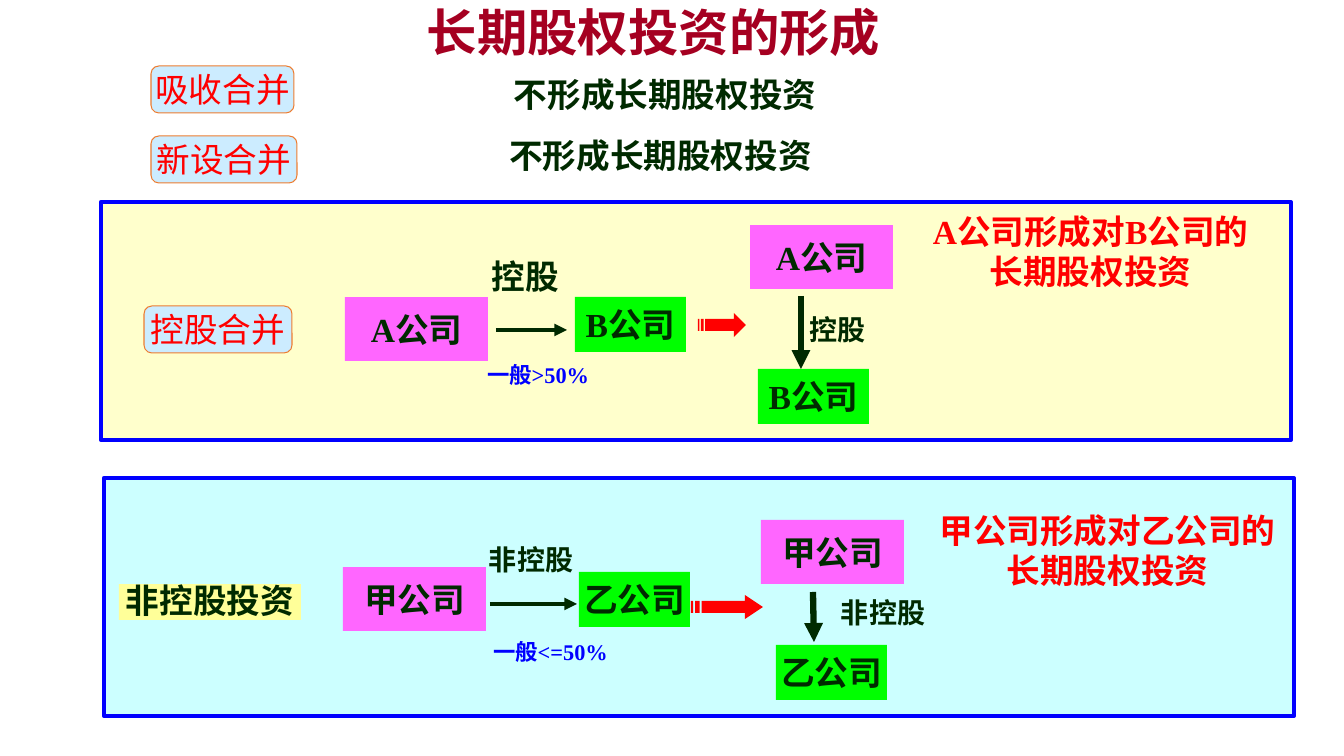
from pptx import Presentation
from pptx import util as u
from pptx.dml.color import RGBColor
from pptx.enum import shapes, text
from pptx.oxml.ns import qn
from lxml import etree

MAROON = RGBColor(0xA5, 0x00, 0x21)
DARK = RGBColor(0x00, 0x2A, 0x00)
RED = RGBColor(0xFF, 0x00, 0x00)
BLUE = RGBColor(0x00, 0x00, 0xFF)
ORANGE = RGBColor(0xED, 0x7D, 0x31)
SKY = RGBColor(0xCC, 0xEC, 0xFF)
CREAM = RGBColor(0xFF, 0xFF, 0xCC)
AQUA = RGBColor(0xCC, 0xFF, 0xFF)
PINK = RGBColor(0xFF, 0x66, 0xFF)
GREEN = RGBColor(0x00, 0xFF, 0x00)
YELLOW = RGBColor(0xFF, 0xFF, 0x99)

SANS, SERIF = "Noto Sans CJK SC", "Times New Roman"
RECT = shapes.MSO_SHAPE.RECTANGLE
ROUND = shapes.MSO_SHAPE.ROUNDED_RECTANGLE
LEFT, CENTER = text.PP_ALIGN.LEFT, text.PP_ALIGN.CENTER
TOP, MIDDLE = text.MSO_ANCHOR.TOP, text.MSO_ANCHOR.MIDDLE


def px(n):
    return round(n * 914400 / 100.8)


class Board:
    base = {"size": 24, "name": SERIF, "bold": True, "color": DARK}

    def __init__(self, prs):
        self.slide = prs.slides.add_slide(prs.slide_layouts[5])
        self.shapes = self.slide.shapes

    def put_text(self, sp, words, align=CENTER, anchor=MIDDLE, wrap=True, spacing=None, **style):
        style = {**self.base, **style}
        tf = sp.text_frame
        frame = {"word_wrap": wrap, "vertical_anchor": anchor,
                 "auto_size": text.MSO_AUTO_SIZE.NONE}
        frame.update({f"margin_{side}": 0 for side in ("left", "right", "top", "bottom")})
        for key, value in frame.items():
            setattr(tf, key, value)
        for i, line in enumerate(words.split("\n")):
            p = tf.paragraphs[0] if i == 0 else tf.add_paragraph()
            p.alignment = align
            if spacing:
                p.line_spacing = spacing
            r = p.add_run()
            r.text = line
            font = {"size": u.Pt(style["size"]), "name": style["name"], "bold": style["bold"]}
            for key, value in font.items():
                setattr(r.font, key, value)
            r.font.color.rgb = style["color"]
            etree.SubElement(r.font._element, qn("a:ea"), typeface=SANS)

    def title(self, words, x, y, w, h, **style):
        sp = self.shapes.title
        for key, value in zip(("left", "top", "width", "height"), (x, y, w, h)):
            setattr(sp, key, px(value))
        self.put_text(sp, words, **style)

    def label(self, words, x, y, w, h, align=LEFT, **style):
        sp = self.shapes.add_textbox(*map(px, (x, y, w, h)))
        self.put_text(sp, words, align, TOP, **style)

    def paint(self, sp, fill, line=None, weight=1):
        sp.shadow.inherit = False
        sp.fill.solid()
        sp.fill.fore_color.rgb = fill
        if line is None:
            sp.line.fill.background()
        else:
            sp.line.color.rgb = line
            sp.line.width = u.Pt(weight)

    def box(self, x, y, w, h, fill, words="", kind=RECT, line=None, weight=1, **style):
        sp = self.shapes.add_shape(kind, *map(px, (x, y, w, h)))
        self.paint(sp, fill, line, weight)
        if words:
            self.put_text(sp, words, wrap=False, **style)

    def tag(self, words, x, y, w):
        self.box(x, y, w, 47, SKY, words, ROUND, ORANGE, 0.75,
                 name=SANS, bold=False, color=RED)

    def investor(self, words, x, y):
        self.box(x, y, 143, 64, PINK, words)

    def investee(self, words, x, y):
        self.box(x, y, 111, 55, GREEN, words)

    def arrow(self, x1, y1, x2, y2, weight):
        line = self.shapes.add_connector(shapes.MSO_CONNECTOR.STRAIGHT,
                                         *map(px, (x1, y1, x2, y2)))
        line.line.color.rgb = DARK
        line.line.width = u.Pt(weight)
        ln = line._element.spPr.find(qn("a:ln"))
        etree.SubElement(ln, qn("a:tailEnd"), type="triangle")
        etree.SubElement(line._element.spPr, qn("a:effectLst"))

    def striped_arrow(self, x, y, w, h):
        # Fractions of the width and height: arrow body, then two stripes
        body = [(.75, 0), (.75, .25), (.15, .25), (.15, .75), (.75, .75), (.75, 1), (1, .5)]
        stripes = [[(a, .25), (a, .75), (b, .75), (b, .25)] for a, b in ((.06, .12), (0, .03))]
        fb = None
        for outline in [body, *stripes]:
            pts = [(px(x + a * w), px(y + b * h)) for a, b in outline]
            if fb is None:
                fb = self.shapes.build_freeform(*pts[0])
            else:
                fb.move_to(*pts[0])
            fb.add_line_segments(pts[1:], close=True)
        self.paint(fb.convert_to_shape(), RED)


def main():
    prs = Presentation()
    prs.slide_width, prs.slide_height = px(1344), px(756)
    board = Board(prs)

    # Title and mergers that form no investment
    board.title("长期股权投资的形成", 204, 0, 899, 62, size=36, name=SANS, color=MAROON)
    board.label("不形成长期股权投资", 514, 74, 381, 40, name=SANS)
    board.label("不形成长期股权投资", 506, 135, 309, 40, CENTER, name=SANS)
    board.tag("吸收合并", 151, 66, 143)
    board.tag("新设合并", 151, 136, 146)

    # Panels with their category labels
    for x, y, fill in ((101, 202, CREAM), (104, 478, AQUA)):
        board.box(x, y, 1190, 238, fill, line=BLUE, weight=3)
    board.tag("控股合并", 144, 306, 148)
    board.box(119, 584, 182, 36, YELLOW, "非控股投资", anchor=TOP, spacing=0.9)

    # Companies before and after the investment
    for name, *spots in (("A公司", (345, 297), (750, 225)), ("甲公司", (343, 567), (761, 520))):
        for spot in spots:
            board.investor(name, *spot)
    for name, *spots in (("B公司", (575, 297), (758, 369)), ("乙公司", (579, 572), (776, 645))):
        for spot in spots:
            board.investee(name, *spot)

    # Arrows
    for ends in ((496, 330, 567, 330, 3), (801, 296, 801, 369, 4.5),
                 (490, 604, 577, 604, 3), (813, 592, 814, 642, 4.5)):
        board.arrow(*ends)
    board.striped_arrow(698, 313, 48, 24)
    board.striped_arrow(691, 595, 72, 24)

    # Relation, share and result labels
    board.label("控股", 492, 256, 95, 40)
    for words, x, y in (("控股", 809, 313), ("非控股", 489, 543), ("非控股", 841, 596)):
        board.label(words, x, y, 119, 33, size=20)
    for words, x, y in (("一般>50%", 487, 361), ("一般<=50%", 493, 638)):
        board.label(words, x, y, 159, 27, size=16, color=BLUE)
    for words, x, y, w in (("A公司形成对B公司的\n长期股权投资", 890, 211, 401),
                           ("甲公司形成对乙公司的\n长期股权投资", 936, 510, 343)):
        board.label(words, x, y, w, 82, CENTER, color=RED)

    prs.save("out.pptx")


if __name__ == "__main__":
    main()
